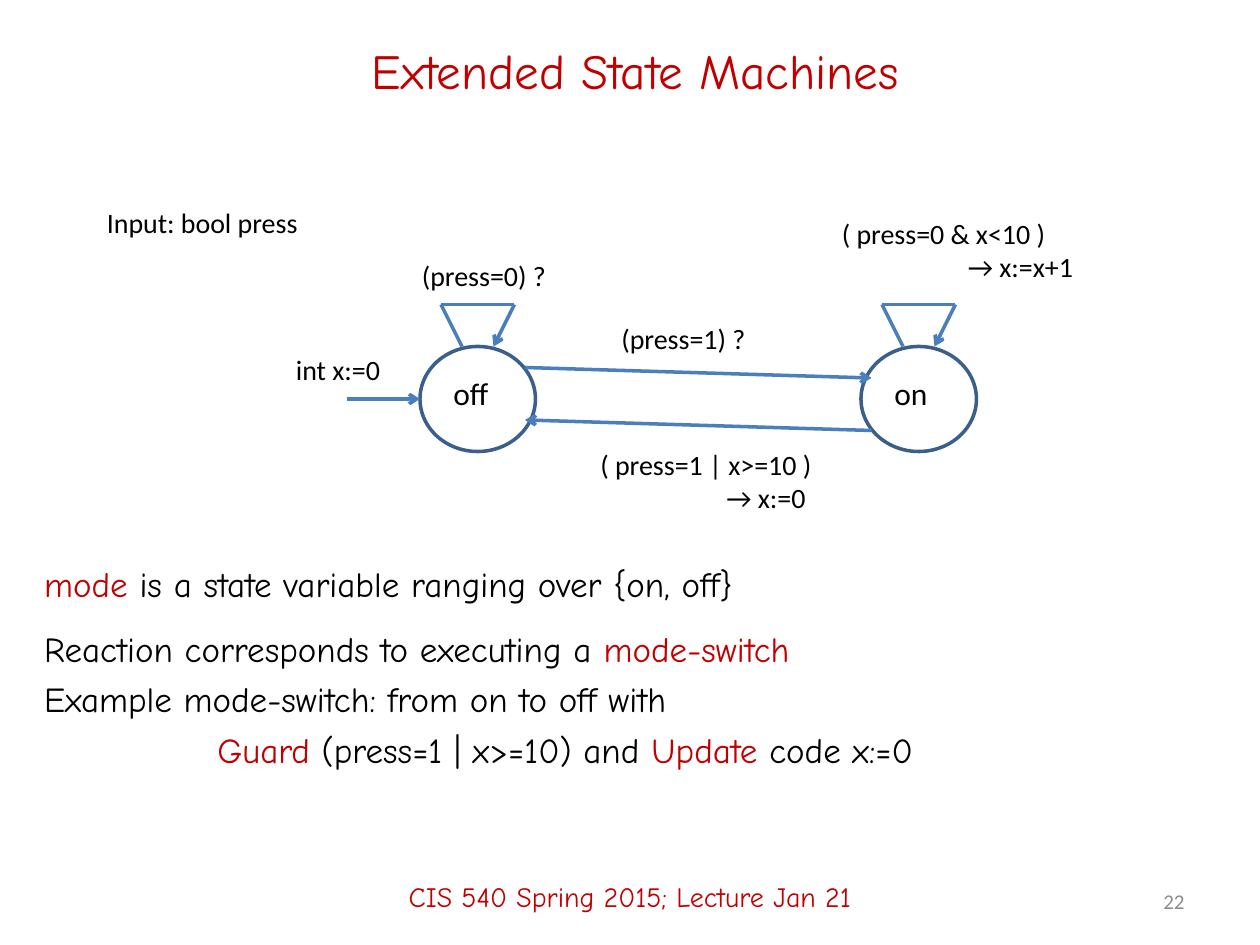
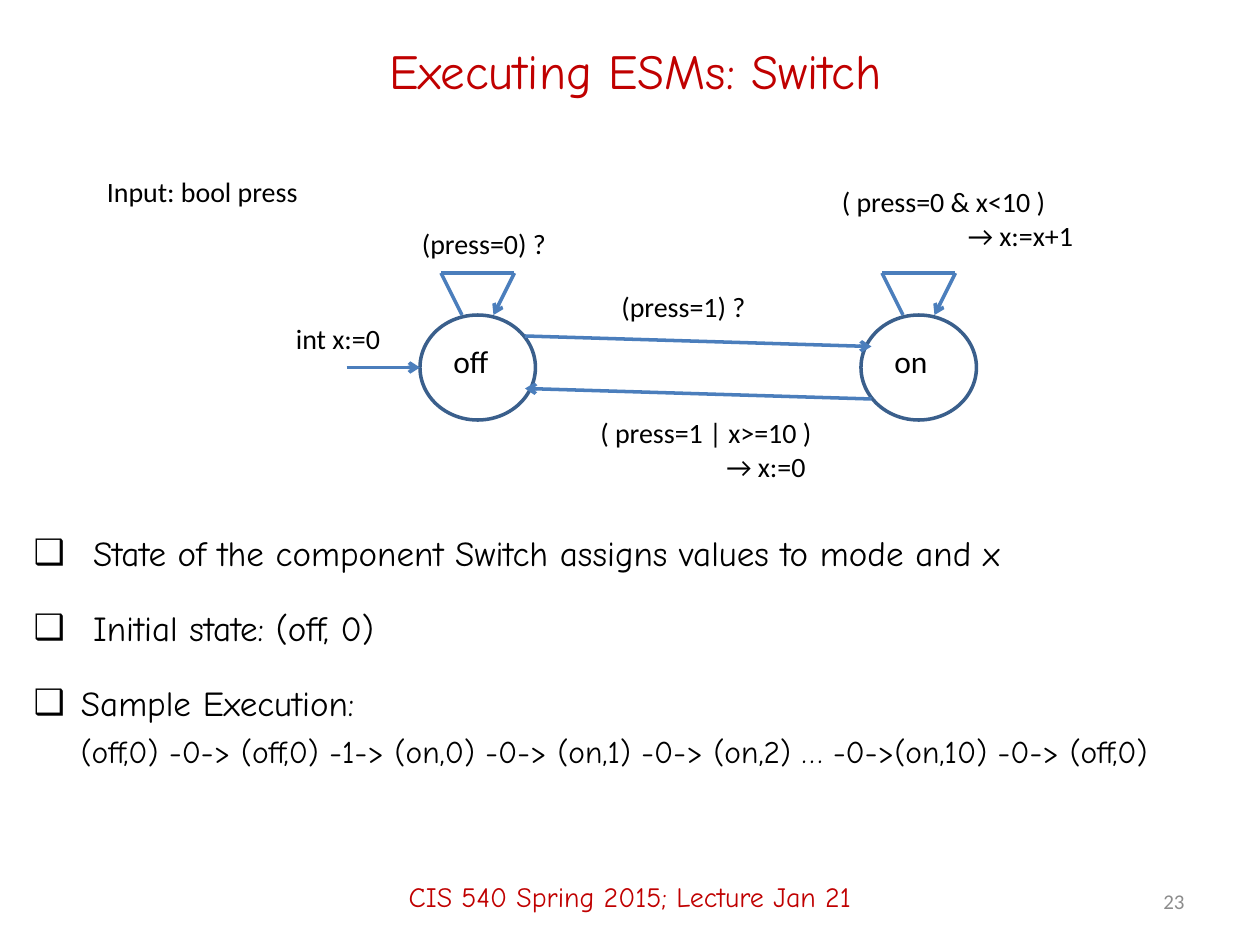
import collections
import pptx
import pptx.dml.color
import pptx.enum.shapes
import pptx.enum.text
import pptx.oxml.ns
import pptx.util
import lxml.etree

Pt = pptx.util.Pt
qn = pptx.oxml.ns.qn
Align = pptx.enum.text.PP_ALIGN
Anchor = pptx.enum.text.MSO_ANCHOR
Kind = pptx.enum.shapes


class Theme:
    red = pptx.dml.color.RGBColor.from_string("C00000")
    black = pptx.dml.color.RGBColor.from_string("000000")
    gray = pptx.dml.color.RGBColor.from_string("8C8C8C")
    ring = pptx.dml.color.RGBColor.from_string("3A5F8C")
    arrow = pptx.dml.color.RGBColor.from_string("4B7EBC")
    hand = "Comic Neue"
    plain = "Calibri"
    title = 28
    body = 20
    trace = 18
    state = 18
    label = 16
    number = 12
    stroke = 2


Line = collections.namedtuple(
    "Line", "runs left hang gap mark size", defaults=(0, 0, 0, None, None))


def write(shape, place, lines, size, font, color=Theme.black,
          align=Align.LEFT, anchor=Anchor.TOP, wrap=True):
    shape.left, shape.top, shape.width, shape.height = map(Pt, place)
    frame = shape.text_frame
    frame.word_wrap = wrap
    frame.auto_size = pptx.enum.text.MSO_AUTO_SIZE.NONE
    frame.vertical_anchor = anchor
    for i, line in enumerate(lines):
        para = frame.paragraphs[0] if i == 0 else frame.add_paragraph()
        para.alignment = align
        para.space_before = Pt(line.gap)
        props = para._p.get_or_add_pPr()
        props.set("marL", str(Pt(line.left)))
        props.set("indent", str(Pt(-line.hang)))
        if line.mark:
            lxml.etree.SubElement(props, qn("a:buChar")).set("char", line.mark)
        else:
            lxml.etree.SubElement(props, qn("a:buNone"))
        for text, tint in line.runs:
            run = para.add_run()
            run.text = text
            run.font.size = Pt(line.size or size)
            run.font.name = font
            run.font.color.rgb = tint or color


def link(slide, start, end, head=True):
    wire = slide.shapes.add_connector(
        Kind.MSO_CONNECTOR.STRAIGHT, *map(Pt, start + end))
    wire.line.color.rgb = Theme.arrow
    wire.line.width = Pt(Theme.stroke)
    props = wire._element.spPr
    if head:
        tail = lxml.etree.SubElement(props.find(qn("a:ln")), qn("a:tailEnd"))
        tail.set("type", "arrow")
    lxml.etree.SubElement(props, qn("a:effectLst"))


red = Theme.red
pages = [
    ("Extended State Machines", "22", 0, (18, 318, 684, 150), [
        Line([("mode", red), (" is a state variable ranging over {on, off}", None)],
             27, 27),
        Line([("Reaction corresponds to executing a ", None),
              ("mode-switch", red)], 27, 27, 13),
        Line([("Example mode-switch: from on to off with", None)], 27, 27, 4.8),
        Line([("Guard", red), (" (press=1 | x>=10) and ", None),
              ("Update", red), (" code x:=0", None)], 99, 0, 4.8),
    ]),
    ("Executing ESMs: Switch", "23", -18, (12, 300, 708, 150), [
        Line([("State of the component Switch assigns values to mode and x", None)],
             34, 34, 0, "❑"),
        Line([("Initial state: (off, 0)", None)], 34, 34, 19, "❑"),
        Line([("Sample Execution:", None)], 27, 27, 19, "❑"),
        Line([("(off,0) -0-> (off,0) -1-> (on,0) -0-> (on,1) -0-> (on,2) "
               "… -0->(on,10) -0-> (off,0)", None)], 27, 0, 4.8, None, Theme.trace),
    ]),
]
states = [("off", 240), ("on", 492)]
labels = [
    (54, 114, 124.6, ["Input: bool press"]),
    (162, 198, 63.4, ["int x:=0"]),
    (234, 144, 86.4, ["(press=0) ?"]),
    (348, 180, 86.4, ["(press=1) ?"]),
    (474, 120, 149, ["( press=0 & x<10 )", "→ x:=x+1"]),
    (336, 252, 136.8, ["( press=1 | x>=10 )", "→ x:=0"]),
]
wires = [((198, 228), (240, 228)), ((300, 210), (498, 216)),
         ((498, 246), (300, 240))]

deck = pptx.Presentation()
deck.slide_width, deck.slide_height = Pt(720), Pt(540)

for title, number, shift, place, lines in pages:
    slide = deck.slides.add_slide(deck.slide_layouts[1])
    shapes = slide.shapes
    write(shapes.title, (54, 12, 618, 56), [Line([(title, None)])],
          Theme.title, Theme.hand, red, Align.CENTER, Anchor.MIDDLE)

    top = 198 + shift
    for name, left in states:
        ring = shapes.add_shape(Kind.MSO_SHAPE.OVAL, Pt(left), Pt(top), Pt(66), Pt(60))
        ring.shadow.inherit = False
        ring.fill.background()
        ring.line.color.rgb = Theme.ring
        ring.line.width = Pt(Theme.stroke)
        box = shapes.add_textbox(0, 0, 0, 0)
        write(box, (left + 12, top + 12, 42, 29), [Line([(name, None)])],
              Theme.state, Theme.plain)
        loop = [(left + 24, top), (left + 12, top - 24),
                (left + 54, top - 24), (left + 42, top)]
        for i in range(3):
            link(slide, loop[i], loop[i + 1], i == 2)

    for (x1, y1), (x2, y2) in wires:
        link(slide, (x1, y1 + shift), (x2, y2 + shift))

    for left, y, width, texts in labels:
        box = shapes.add_textbox(0, 0, 0, 0)
        write(box, (left, y + shift, width, 7.2 + 19.5 * len(texts)),
              [Line([(text, None)], 72 * i) for i, text in enumerate(texts)],
              Theme.label, Theme.plain, wrap=False)

    write(shapes.placeholders[1], place, lines, Theme.body, Theme.hand)
    write(shapes.add_textbox(0, 0, 0, 0), (0, 484, 720, 56),
          [Line([("CIS 540 Spring 2015; Lecture Jan 21", None)])],
          Theme.label, Theme.hand, red, Align.CENTER, Anchor.MIDDLE)
    write(shapes.add_textbox(0, 0, 0, 0), (516, 500.5, 168, 29),
          [Line([(number, None)])], Theme.number, Theme.plain,
          Theme.gray, Align.RIGHT, Anchor.MIDDLE)

deck.save("out.pptx")
